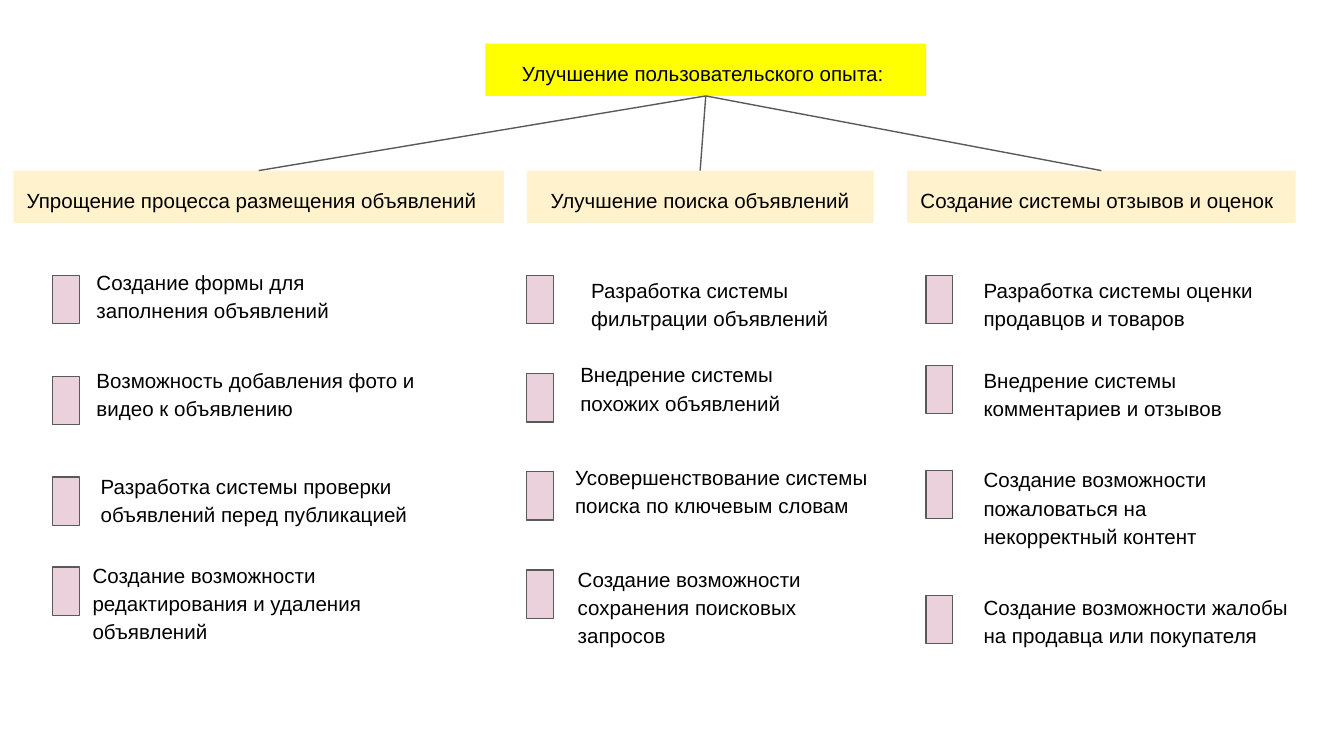
from dataclasses import dataclass

from lxml import etree
from pptx import Presentation
from pptx.dml.color import RGBColor
from pptx.enum import shapes, text
from pptx.oxml.ns import qn
from pptx.slide import Slide
from pptx.util import Pt

COLORS = {
    "goal": "FFFF00",
    "direction": "FFF2CC",
    "marker": "EAD1DC",
    "line": "595959",
    "text": "000000",
}
LINE_WIDTH = 0.75
BOX_HEIGHT = 28
GOAL_TOP = 23.4
DIRECTION_TOP = 91.4
MARKER_SIZE = (14.4, 25.9)
TASK_HEIGHT = {2: 43.2, 3: 58.3}

FRAME_FORMAT = {
    "word_wrap": True,
    "auto_size": text.MSO_AUTO_SIZE.SHAPE_TO_FIT_TEXT,
    "vertical_anchor": text.MSO_ANCHOR.TOP,
    **{f"margin_{side}": Pt(7.2) for side in ("left", "top", "right", "bottom")},
}
FONT_FORMAT = {"name": "Arial", "size": Pt(11)}


@dataclass
class Box:
    wording: str
    left: float
    top: float
    width: float
    color: str
    align: text.PP_ALIGN = text.PP_ALIGN.CENTER

    @property
    def center(self) -> float:
        return self.left + self.width / 2


@dataclass
class Task:
    wording: str
    marker_top: float
    left: float
    top: float
    width: float
    lines: int = 2


@dataclass
class Direction:
    heading: Box
    marker_left: float
    tasks: list[Task]


GOAL = Box("Улучшение пользовательского опыта: ", 260, GOAL_TOP, 236.2, "goal")

DIRECTIONS = [
    Direction(
        Box("Упрощение процесса размещения объявлений", 7.2, DIRECTION_TOP, 262.8,
            "direction", text.PP_ALIGN.LEFT),
        28.1,
        [
            Task("Создание формы для заполнения объявлений", 147.6, 44.6, 135.4, 185.8),
            Task("Возможность добавления фото и видео к объявлению",
                 201.6, 44.6, 187.9, 195.8),
            Task("Разработка системы проверки объявлений перед публикацией",
                 255.6, 46.8, 244.8, 181.4),
            Task("Создание возможности редактирования и удаления объявлений",
                 303.8, 42.5, 292.3, 208.1, 3),
        ],
    ),
    Direction(
        Box("Улучшение поиска объявлений", 282.2, DIRECTION_TOP, 185.8, "direction"),
        282.2,
        [
            Task("Разработка системы фильтрации объявлений",
                 147.6, 309.6, 139.7, 145.4),
            Task("Внедрение системы похожих объявлений", 200.2, 303.8, 185, 145.4),
            Task("Усовершенствование системы поиска по ключевым словам",
                 252.8, 301, 239.8, 176.4),
            Task("Создание возможности сохранения поисковых запросов",
                 305.4, 302.4, 294.5, 159.8, 3),
        ],
    ),
    Direction(
        Box("Создание системы отзывов и оценок", 486, DIRECTION_TOP, 208.1,
            "direction", text.PP_ALIGN.LEFT),
        496.1,
        [
            Task("Разработка системы оценки продавцов и товаров",
                 147.6, 519.8, 139.7, 176.4),
            Task("Внедрение системы комментариев и отзывов",
                 195.8, 519.8, 187.9, 174.2),
            Task("Создание возможности пожаловаться на некорректный контент",
                 252, 519.8, 241.2, 174.2, 3),
            Task("Создание возможности жалобы на продавца или покупателя",
                 319, 519.8, 309.6, 190.8),
        ],
    ),
]


def rgb(color: str) -> RGBColor:
    return RGBColor.from_string(COLORS[color])


def write(frame, wording: str, align: text.PP_ALIGN = text.PP_ALIGN.LEFT) -> None:
    for attribute, value in FRAME_FORMAT.items():
        setattr(frame, attribute, value)
    paragraph = frame.paragraphs[0]
    paragraph.alignment = align
    paragraph.line_spacing = 1.15
    run = paragraph.add_run()
    run.text = wording
    for attribute, value in FONT_FORMAT.items():
        setattr(run.font, attribute, value)
    run.font.color.rgb = rgb("text")


def draw_rectangle(slide: Slide, left: float, top: float, width: float,
                   height: float, color: str, outlined: bool = False):
    rectangle = slide.shapes.add_shape(
        shapes.MSO_SHAPE.RECTANGLE, Pt(left), Pt(top), Pt(width), Pt(height))
    rectangle.shadow.inherit = False
    rectangle.fill.solid()
    rectangle.fill.fore_color.rgb = rgb(color)
    if outlined:
        rectangle.line.color.rgb = rgb("line")
        rectangle.line.width = Pt(LINE_WIDTH)
    else:
        rectangle.line.fill.background()
    return rectangle


def draw_box(slide: Slide, box: Box) -> None:
    rectangle = draw_rectangle(
        slide, box.left, box.top, box.width, BOX_HEIGHT, box.color)
    write(rectangle.text_frame, box.wording, box.align)


def draw_branch(slide: Slide, parent: Box, child: Box) -> None:
    """Join the bottom centre of the parent to the top centre of the child."""
    branch = slide.shapes.add_connector(
        shapes.MSO_CONNECTOR.STRAIGHT,
        Pt(parent.center), Pt(parent.top + BOX_HEIGHT), Pt(child.center), Pt(child.top))
    branch.line.color.rgb = rgb("line")
    branch.line.width = Pt(LINE_WIDTH)
    etree.SubElement(branch._element.spPr, qn("a:effectLst"))


def draw_task(slide: Slide, task: Task, marker_left: float) -> None:
    draw_rectangle(slide, marker_left, task.marker_top, *MARKER_SIZE, "marker", True)
    label = slide.shapes.add_textbox(
        Pt(task.left), Pt(task.top), Pt(task.width), Pt(TASK_HEIGHT[task.lines]))
    write(label.text_frame, task.wording)


def main() -> None:
    presentation = Presentation()
    presentation.slide_width, presentation.slide_height = Pt(720), Pt(405)
    slide = presentation.slides.add_slide(presentation.slide_layouts[6])

    draw_box(slide, GOAL)
    for direction in DIRECTIONS:
        draw_box(slide, direction.heading)
        draw_branch(slide, GOAL, direction.heading)
        for task in direction.tasks:
            draw_task(slide, task, direction.marker_left)

    presentation.save("out.pptx")


if __name__ == "__main__":
    main()
